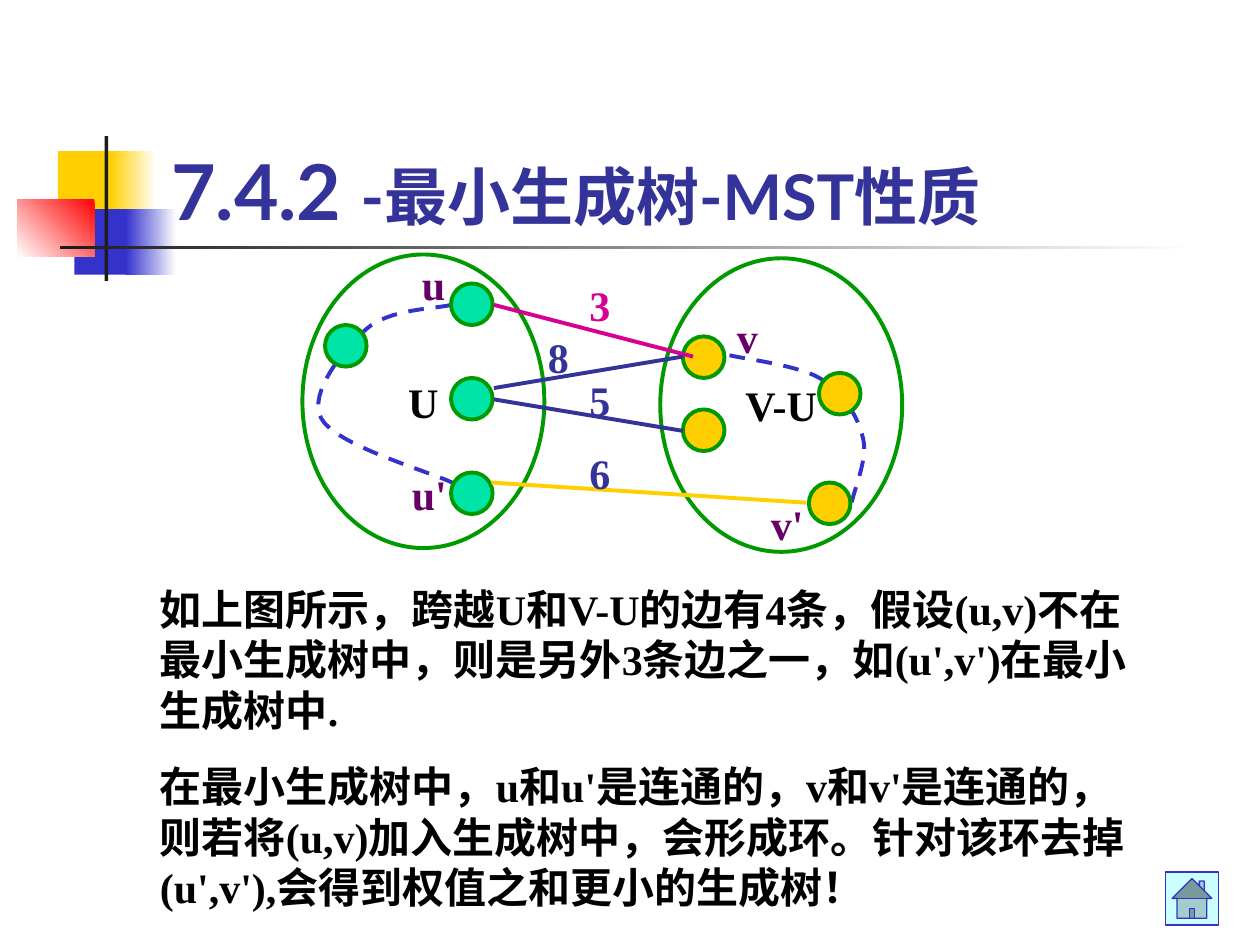
"""Build the slide on the MST property of minimum spanning trees."""
from pptx import Presentation
from pptx.dml.color import RGBColor
from pptx.enum.dml import MSO_LINE
from pptx.enum.shapes import MSO_CONNECTOR, MSO_SHAPE
from pptx.enum.text import MSO_ANCHOR, MSO_AUTO_SIZE, PP_ALIGN
from pptx.oxml import parse_xml
from pptx.util import Inches, Pt

RECT, OVAL, HOME = MSO_SHAPE.RECTANGLE, MSO_SHAPE.OVAL, MSO_SHAPE.ACTION_BUTTON_HOME
DASH, LINE = MSO_LINE.DASH, MSO_CONNECTOR.STRAIGHT
MIDDLE, BOTTOM = MSO_ANCHOR.MIDDLE, MSO_ANCHOR.BOTTOM
CENTER, GROW = PP_ALIGN.CENTER, MSO_AUTO_SIZE.SHAPE_TO_FIT_TEXT
BLUE, NAVY, GOLD, GREEN = "3333CC", "333399", "FFCF01", "009900"
MINT, PINK, PLUM, BLACK, WHITE = "00E4A8", "D60093", "660066", "000000", "FFFFFF"
NOFX = '<a:effectLst xmlns:a="http://schemas.openxmlformats.org/drawingml/2006/main"/>'
BODY = {"name": "Times New Roman", "size": Pt(24), "bold": True}


def rgb(code):
    return RGBColor.from_string(code)


def write(para, text, color, form):
    run = para.add_run()
    run.text = text
    run.font.color.rgb = rgb(color)
    for key, val in form.items():
        setattr(run.font, key, val)


deck = Presentation()
deck.slide_width, deck.slide_height = Inches(10), Inches(7.5)
slide = deck.slides.add_slide(deck.slide_layouts[6])
shapes = slide.shapes

decor = [
    (0.46, 1.2, 0.48, 0.52, [GOLD], 0),
    (0.88, 1.2, 0.36, 0.52, [WHITE, GOLD], 180),
    (0.59, 1.66, 0.46, 0.52, [BLUE], 0),
    (1, 1.66, 0.4, 0.52, [WHITE, BLUE], 180),
    (0.14, 1.58, 0.61, 0.46, ["FF0000", WHITE], 225),
    (0.83, 1.08, 0.03, 1.15, ["1C1C1C"], 0),
    (0.48, 1.95, 9, 0.03, [WHITE, "1C1C1C"], 180),
]
for *box, colors, angle in decor:
    block = shapes.add_shape(RECT, *map(Inches, box))
    block.shadow.inherit = False
    block.line.fill.background()
    if len(colors) == 1:
        block.fill.solid()
        block.fill.fore_color.rgb = rgb(colors[0])
        continue
    block.fill.gradient()
    block.fill.gradient_angle = angle
    for stop, color in zip(block.fill.gradient_stops, colors):
        stop.color.rgb = rgb(color)

curves = [
    [(5.79, 2.82), (5.91, 2.85), (6.35, 2.9), (6.52, 3.01), (6.7, 3.12),
     (6.81, 3.31), (6.85, 3.48), (6.89, 3.64), (6.78, 3.88), (6.76, 3.99)],
    [(3.58, 2.42), (3.47, 2.45), (3.09, 2.45), (2.91, 2.61), (2.74, 2.76),
     (2.44, 3.12), (2.55, 3.32), (2.66, 3.53), (3.37, 3.73), (3.59, 3.83)],
]
for knots in curves:
    dots = []
    for i in range(0, len(knots) - 1, 3):
        for step in range(1, 17):
            t = step / 16
            parts = ((1 - t) ** 3, 3 * t * (1 - t) ** 2, 3 * t * t * (1 - t), t ** 3)
            dots.append([Inches(sum(w * k[axis] for w, k in zip(parts, knots[i:i + 4])))
                         for axis in (0, 1)])
    pen = shapes.build_freeform(*map(Inches, knots[0]))
    pen.add_line_segments(dots, close=False)
    path = pen.convert_to_shape()
    path.shadow.inherit = False
    path.fill.background()
    for key, val in {"width": Pt(2.25), "dash_style": DASH}.items():
        setattr(path.line, key, val)
    path.line.color.rgb = rgb(BLUE)

title = shapes.add_textbox(*map(Inches, (1.26, 0.67, 8.52, 1.25))).text_frame
title.word_wrap, title.vertical_anchor = True, BOTTOM
for text, size in [("7.4.2 ", 44), ("-最小生成树-MST性质", 36)]:
    write(title.paragraphs[0], text, NAVY, {"name": "Lato", "size": Pt(size), "bold": True})

home = shapes.add_shape(HOME, *map(Inches, (9.25, 6.92, 0.42, 0.42)))
home.shadow.inherit = False
home.fill.solid()
home.fill.fore_color.rgb = rgb("CCFFFF")
home.line.color.rgb = rgb(BLUE)
home.line.width = Pt(0.75)

groups = [
    (MINT, [(3.58, 2.25), (3.58, 3), (3.58, 3.75), (2.58, 2.58)], "U", (2.4, 2.02)),
    (GOLD, [(5.42, 3.25), (6.5, 2.96), (6.42, 3.83), (5.42, 2.67)], "V-U", (5.24, 2.05)),
]
for color, spots, name, corner in groups:
    ovals = [(*spot, 0.33, 0.33) for spot in spots] + [(*corner, 1.92, 2.33)]
    for box in ovals:
        oval = shapes.add_shape(OVAL, *map(Inches, box))
        oval.shadow.inherit = False
        oval.line.color.rgb = rgb(GREEN)
        oval.line.width = Pt(2.25)
        if box is ovals[-1]:
            oval.fill.background()
            frame = oval.text_frame
            frame.word_wrap, frame.vertical_anchor = False, MIDDLE
            frame.paragraphs[0].alignment = CENTER
            write(frame.paragraphs[0], name, BLACK, BODY)
        else:
            oval.fill.solid()
            oval.fill.fore_color.rgb = rgb(color)

edges = [
    (3.92, 2.42, 5.5, 2.83, PINK),
    (3.92, 3.17, 5.42, 3.42, NAVY),
    (3.9, 3.83, 6.4, 3.99, GOLD),
    (3.92, 3.08, 5.42, 2.83, NAVY),
]
for *ends, color in edges:
    edge = shapes.add_connector(LINE, *map(Inches, ends))
    edge.line.color.rgb = rgb(color)
    edge.line.width = Pt(2.25)
    edge._element.spPr.append(parse_xml(NOFX))

notes = [
    (4.58, 2.17, 0.5, 0.5, PINK, 15, True, ["3"]),
    (4.58, 2.92, 0.5, 0.5, NAVY, 15, True, ["5"]),
    (4.58, 3.5, 0.5, 0.5, NAVY, 15, True, ["6"]),
    (4.25, 2.58, 0.5, 0.5, NAVY, 15, True, ["8"]),
    (3.25, 2, 0.38, 0.5, PLUM, 0, False, ["u"]),
    (5.75, 2.42, 0.36, 0.5, PLUM, 0, False, ["v"]),
    (3.17, 3.67, 0.48, 0.5, PLUM, 0, False, ["u'"]),
    (6.02, 3.91, 0.58, 0.5, PLUM, 0, True, ["v'"]),
    (1.17, 4.58, 7.92, 2.71, BLACK, 15, True, [
        "如上图所示，跨越U和V-U的边有4条，假设(u,v)不在最小生成树中，"
        "则是另外3条边之一，如(u',v')在最小生成树中.",
        "在最小生成树中，u和u'是连通的，v和v'是连通的，则若将(u,v)加入生成树中，"
        "会形成环。针对该环去掉(u',v'),会得到权值之和更小的生成树！"]),
]
for *box, color, gap, wrap, lines in notes:
    frame = shapes.add_textbox(*map(Inches, box)).text_frame
    frame.word_wrap, frame.auto_size = wrap, GROW
    for i, text in enumerate(lines):
        para = frame.add_paragraph() if i else frame.paragraphs[0]
        para.space_before = Pt(gap)
        write(para, text, color, BODY)

deck.save("out.pptx")
